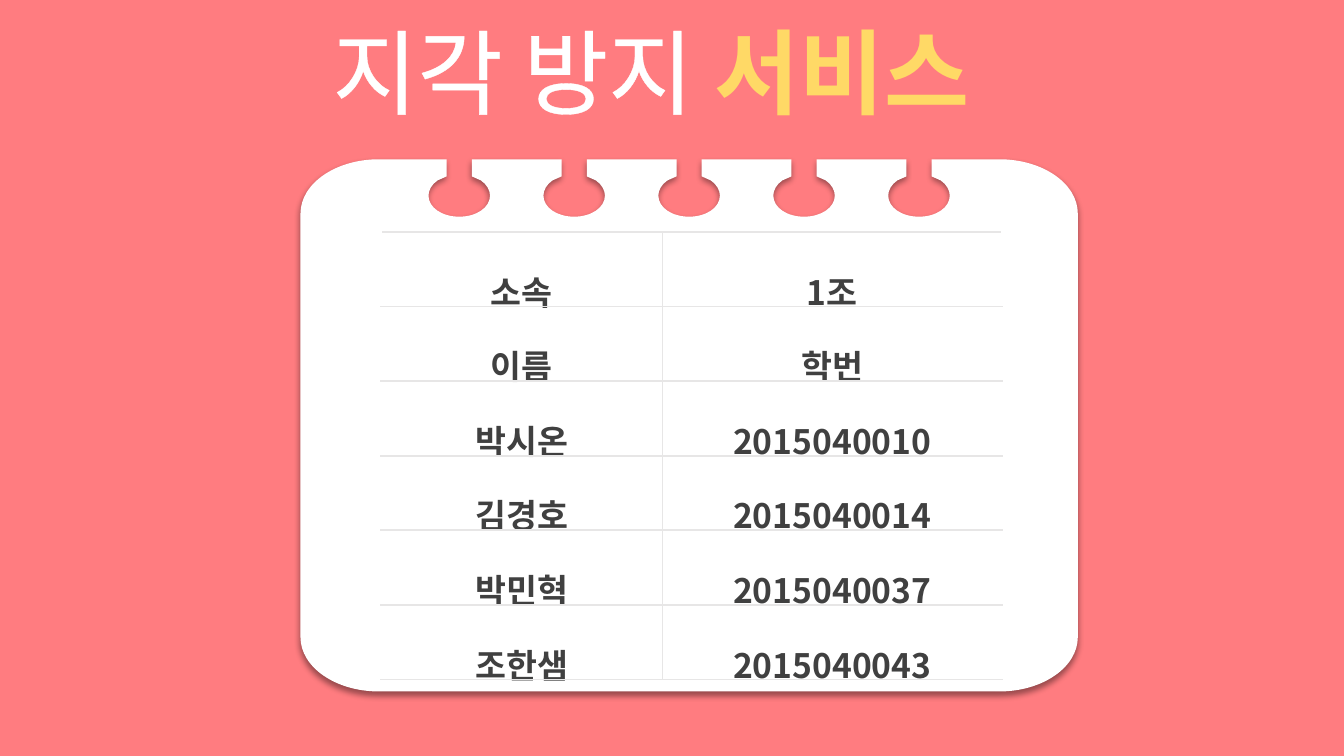
from dataclasses import dataclass

from lxml.etree import SubElement
from pptx import Presentation
from pptx.dml.color import RGBColor
from pptx.enum.text import MSO_AUTO_SIZE, PP_ALIGN
from pptx.oxml import parse_xml
from pptx.oxml.ns import nsdecls, qn
from pptx.util import Inches, Pt


@dataclass(frozen=True)
class Theme:
    """Colours, font and sizes of the slide."""
    back: str = "FF7C80"
    paper: str = "FFFFFF"
    accent: str = "FFD966"
    ink: str = "404040"
    rule: str = "E7E6E6"
    font: str = "Noto Sans CJK KR"
    title: float = 66
    body: float = 24
    line: float = 1.35
    thin: float = 0.75


THEME = Theme()
MEMBERS = [
    ("소속", "1조"),
    ("이름", "학번"),
    ("박시온", "2015040010"),
    ("김경호", "2015040014"),
    ("박민혁", "2015040037"),
    ("조한샘", "2015040043"),
]


def rgb(color):
    """Turn a hex string into a colour."""
    return RGBColor.from_string(color)


def add_run(p, text, size, color, bold=False):
    """Add one styled run to a paragraph."""
    r = p.add_run()
    r.text = text
    r.font.size = Pt(size)
    r.font.bold = bold
    r.font.color.rgb = rgb(color)
    r.font.name = THEME.font
    return r


def line_xml(tag, color, width):
    """Build a solid line element."""
    return parse_xml(
        f'<a:{tag} {nsdecls("a")} w="{int(Pt(width))}"><a:solidFill>'
        f'<a:srgbClr val="{color}"/></a:solidFill></a:{tag}>')


def ring_hole(cx):
    """Return the segments of one ring hole, each a line or a curve."""
    half = [
        [(0.25, 0)],
        [(0.25, 0.17)],
        [(0.43, 0.21)],
        [(0.55, 0.25), (0.61, 0.31), (0.61, 0.36)],
        [(0.61, 0.48), (0.34, 0.57), (0, 0.57)],
    ]
    left = [[(cx - w / 2, y) for w, y in segment] for segment in half]
    right = [
        [(0.34, 0.57), (0.61, 0.48), (0.61, 0.36)],
        [(0.61, 0.31), (0.55, 0.25), (0.43, 0.21)],
        [(0.25, 0.17)],
        [(0.25, 0)],
    ]
    return left + [[(cx + w / 2, y) for w, y in segment] for segment in right]


def notepad_segments(w, h):
    """Return the outline of a rounded sheet with five ring holes."""
    rx, ry, kx, ky, gap = 0.78, 0.54, 0.35, 0.24, 1.14
    segments = []
    for i in range(-2, 3):
        segments += ring_hole(w / 2 + i * gap)
    return segments + [
        [(w - rx, 0)],
        [(w - kx, 0), (w, ky), (w, ry)],
        [(w, h - ry)],
        [(w, h - ky), (w - kx, h), (w - rx, h)],
        [(rx, h)],
        [(kx, h), (0, h - ky), (0, h - ry)],
        [(0, ry)],
        [(0, ky), (kx, 0), (rx, 0)],
    ]


def add_step(outline, tag, points):
    """Add one drawing step to an outline."""
    step = SubElement(outline, qn(tag))
    for x, y in points:
        pt = SubElement(step, qn("a:pt"))
        pt.set("x", str(int(Inches(x))))
        pt.set("y", str(int(Inches(y))))


def add_notepad(s, left, top, width, height):
    """Draw the white sheet with its soft shadow."""
    builder = s.shapes.build_freeform(Inches(left), Inches(top))
    builder.add_line_segments([
        (Inches(left + width), Inches(top)),
        (Inches(left + width), Inches(top + height))])
    sp = builder.convert_to_shape()
    outline = next(sp._element.iter(qn("a:path")))
    for step in list(outline):
        outline.remove(step)
    segments = notepad_segments(width, height)
    add_step(outline, "a:moveTo", segments[-1][-1:])
    for points in segments:
        add_step(outline, "a:lnTo" if len(points) == 1 else "a:cubicBezTo", points)
    SubElement(outline, qn("a:close"))
    sp.fill.solid()
    sp.fill.fore_color.rgb = rgb(THEME.paper)
    sp.line.fill.background()
    sp._element.spPr.append(parse_xml(
        f'<a:effectLst {nsdecls("a")}><a:outerShdw blurRad="{int(Pt(4))}" '
        f'dist="{int(Pt(3))}" dir="5400000" algn="t" rotWithShape="0">'
        '<a:srgbClr val="000000"><a:alpha val="40000"/></a:srgbClr>'
        '</a:outerShdw></a:effectLst>'))


def add_title(s, left, top, width, height):
    """Write the two-colour title."""
    sp = s.shapes.add_textbox(Inches(left), Inches(top), Inches(width), Inches(height))
    tf = sp.text_frame
    tf.word_wrap = False
    tf.auto_size = MSO_AUTO_SIZE.SHAPE_TO_FIT_TEXT
    p = tf.paragraphs[0]
    r = add_run(p, "지각 방지", THEME.title, THEME.paper)
    r.font._element.insert(0, line_xml("ln", THEME.paper, 0.25))
    add_run(p, " 서비스", THEME.title, THEME.accent, bold=True)


def style_cell(cell, text, is_first, is_last):
    """Fill in one table cell and draw its borders."""
    cell.fill.background()
    p = cell.text_frame.paragraphs[0]
    p.alignment = PP_ALIGN.CENTER
    p.line_spacing = 1.6
    add_run(p, text, THEME.body, THEME.ink, bold=True)
    borders = [
        ("lnL", THEME.paper if is_first else THEME.rule, THEME.line),
        ("lnR", THEME.rule if is_first else THEME.paper, THEME.line),
        ("lnT", THEME.rule, THEME.line),
        ("lnB", THEME.rule, THEME.thin if is_last else THEME.line),
    ]
    tc_pr = cell._tc.get_or_add_tcPr()
    for i, border in enumerate(borders):
        tc_pr.insert(i, line_xml(*border))


def add_members(s, left, top, widths, row_height):
    """Add the table of team members."""
    table = s.shapes.add_table(
        len(MEMBERS), len(widths), Inches(left), Inches(top),
        Inches(sum(widths)), Inches(row_height * len(MEMBERS))).table
    table.first_row = table.horz_banding = False
    for column, width in zip(table.columns, widths):
        column.width = Inches(width)
    for i, texts in enumerate(MEMBERS):
        for j, text in enumerate(texts):
            style_cell(table.cell(i, j), text, j == 0, i == len(MEMBERS) - 1)


def main():
    """Build and save the slide."""
    prs = Presentation()
    prs.slide_width, prs.slide_height = Inches(13.33), Inches(7.5)
    s = prs.slides.add_slide(prs.slide_layouts[6])
    s.background.fill.solid()
    s.background.fill.fore_color.rgb = rgb(THEME.back)
    add_notepad(s, 2.98, 1.58, 7.71, 5.28)
    add_title(s, 3.2, 0.1, 6.94, 1.46)
    add_members(s, 3.78, 2.3, (2.79, 3.37), 0.74)
    prs.save("out.pptx")


main()
